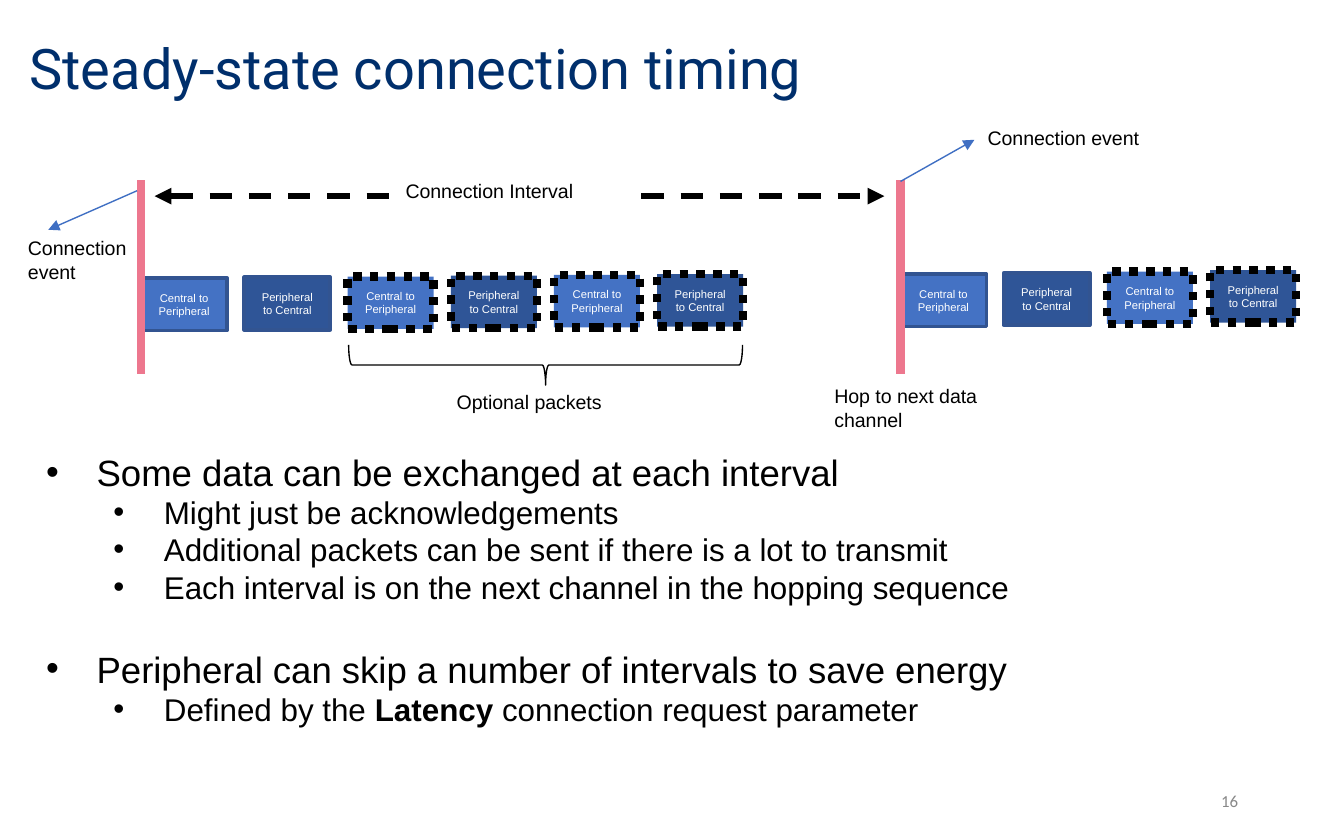
"""Build the steady-state connection timing slide."""
from lxml.etree import SubElement
from pptx import Presentation
from pptx.dml.color import RGBColor
from pptx.enum.dml import MSO_LINE
from pptx.enum.shapes import MSO_CONNECTOR, MSO_SHAPE
from pptx.enum.text import MSO_ANCHOR, MSO_AUTO_SIZE, PP_ALIGN
from pptx.oxml.ns import qn
from pptx.util import Pt

COLORS = {
    "title": "002F6C", "text": "000000", "white": "FFFFFF", "number": "888888",
    "central": "4472C4", "peripheral": "2F5597", "edge": "325491",
    "event": "ED778E", "pointer": "3F6FC3",
}
TITLE = "Steady-state connection timing"
BULLETS = [
    (0, ["Some data can be exchanged at each interval"]),
    (1, ["Might just be acknowledgements"]),
    (1, ["Additional packets can be sent if there is a lot to transmit"]),
    (1, ["Each interval is on the next channel in the hopping sequence"]),
    (0, ["Peripheral can skip a number of intervals to save energy"]),
    (1, ["Defined by the ", "Latency", " connection request parameter"]),
]
LEVELS = [
    {"size": 19.6, "left": 36, "before": 26.7},
    {"size": 16.8, "left": 72, "before": 3.8},
]
PACKETS = [("Central to Peripheral", "central"), ("Peripheral to Central", "peripheral")]
EVENTS = [
    {"x": 75.6, "y": 149, "count": 6, "rise": 0.43},
    {"x": 482.4, "y": 146.9, "count": 4, "rise": 0.72},
]
PITCH, PACKET_W, PACKET_H, REQUIRED = 55.3, 46.1, 28.1, 2
EVENT_TOP, EVENT_BOTTOM = 96.5, 200.2
INTERVAL = (82.8, 105.1, 473.8, 105.1)
POINTERS = [(482.4, 97.2, 522, 74.9), (73.4, 102.2, 25.9, 123.1)]
LABELS = [
    ("Connection Interval", (210.2, 92.2, 132.5, 20.2), True, "white"),
    ("Hop to next data channel", (439.9, 202.3, 92.2, 32.4), True, None),
    ("Optional packets", (237.6, 205.2, 119.5, 20.2), True, None),
    ("Connection event", (522, 64.1, 97.2, 20.2), False, None),
    ("Connection event", (7.9, 123.1, 70.6, 32.4), True, None),
]


def rgb(name):
    return RGBColor.from_string(COLORS[name])


def pts(values):
    return [Pt(v) for v in values]


def style(font, size, color, name="Arial"):
    font.size, font.name = Pt(size), name
    font.color.rgb = rgb(color)


def place(sp, box):
    sp.left, sp.top, sp.width, sp.height = pts(box)


def add_line(s, ends, color, width, arrows=(), dash=None):
    ln = s.shapes.add_connector(MSO_CONNECTOR.STRAIGHT, *pts(ends))
    ln.line.color.rgb, ln.line.width = rgb(color), Pt(width)
    if dash:
        ln.line.dash_style = dash
    for end in arrows:
        SubElement(ln.line._get_or_add_ln(), qn(f"a:{end}"), type="triangle")
    SubElement(ln._element.spPr, qn("a:effectLst"))


def add_packet(s, box, text, color, optional):
    sp = s.shapes.add_shape(MSO_SHAPE.RECTANGLE, *pts(box))
    sp.shadow.inherit = False
    sp.fill.solid()
    sp.fill.fore_color.rgb = rgb(color)
    sp.line.color.rgb = rgb("text" if optional else "edge")
    sp.line.width = Pt(4.5 if optional else 2)
    if optional:
        sp.line.dash_style = MSO_LINE.ROUND_DOT
    tf = sp.text_frame
    tf.text, tf.vertical_anchor = text, MSO_ANCHOR.MIDDLE
    p = tf.paragraphs[0]
    p.alignment = PP_ALIGN.CENTER
    style(p.runs[0].font, 6, "white")


def add_label(s, text, box, wrap, fill):
    sp = s.shapes.add_textbox(*pts(box))
    if fill:
        sp.fill.solid()
        sp.fill.fore_color.rgb = rgb(fill)
    tf = sp.text_frame
    tf.text, tf.word_wrap = text, wrap
    tf.auto_size = MSO_AUTO_SIZE.SHAPE_TO_FIT_TEXT
    style(tf.paragraphs[0].runs[0].font, 10.5, "text")


def add_title(s):
    sp = s.shapes.title
    place(sp, (8.6, 7.2, 613.4, 61.9))
    tf = sp.text_frame
    tf.text, tf.vertical_anchor = TITLE, MSO_ANCHOR.MIDDLE
    tf.auto_size = MSO_AUTO_SIZE.NONE
    p = tf.paragraphs[0]
    p.alignment, p.line_spacing = PP_ALIGN.LEFT, 0.9
    style(p.runs[0].font, 30, "title", "Roboto")


def add_bullets(s):
    sp = s.placeholders[1]
    place(sp, (8.6, 241.9, 703.4, 163.4))
    tf = sp.text_frame
    tf.auto_size = MSO_AUTO_SIZE.NONE
    for i, (level, parts) in enumerate(BULLETS):
        p = tf.add_paragraph() if i else tf.paragraphs[0]
        look = LEVELS[level]
        p.level, p.line_spacing = level, 0.8
        p.space_before = Pt(look["before"] if i else 0)
        pPr = p._p.get_or_add_pPr()
        pPr.set("marL", str(Pt(look["left"])))
        pPr.set("indent", str(Pt(-27)))
        clr = SubElement(pPr, qn("a:buClr"))
        SubElement(clr, qn("a:srgbClr"), val=COLORS["text"])
        SubElement(pPr, qn("a:buFont"), typeface="Arial")
        SubElement(pPr, qn("a:buChar"), char="•")
        for j, part in enumerate(parts):
            r = p.add_run()
            r.text = part
            r.font.bold = j % 2 == 1
            style(r.font, look["size"], "text")


def add_number(s):
    sp = s.shapes.add_textbox(*pts((508.3, 416.9, 162, 23.8)))
    tf = sp.text_frame
    tf.text, tf.word_wrap, tf.vertical_anchor = "16", True, MSO_ANCHOR.MIDDLE
    p = tf.paragraphs[0]
    p.alignment = PP_ALIGN.RIGHT
    style(p.runs[0].font, 9, "number", "Calibri")


def add_timeline(s):
    for event in EVENTS:
        for i in range(event["count"]):
            text, color = PACKETS[i % 2]
            box = (event["x"] + i * PITCH, event["y"] - i * event["rise"], PACKET_W, PACKET_H)
            add_packet(s, box, text, color, i >= REQUIRED)
    for event in EVENTS:
        add_line(s, (event["x"], EVENT_TOP, event["x"], EVENT_BOTTOM), "event", 4.5)
    add_line(s, INTERVAL, "text", 3, ("headEnd", "tailEnd"), MSO_LINE.DASH)
    brace = s.shapes.add_shape(MSO_SHAPE.LEFT_BRACE, *pts((281.5, 90, 21.6, 211)))
    brace.rotation = 270
    brace.shadow.inherit = False
    brace.fill.background()
    brace.line.color.rgb, brace.line.width = rgb("text"), Pt(0.75)
    for ends in POINTERS:
        add_line(s, ends, "pointer", 0.75, ("tailEnd",))
    for label in LABELS:
        add_label(s, *label)


def main():
    prs = Presentation()
    prs.slide_width, prs.slide_height = Pt(720), Pt(450)
    s = prs.slides.add_slide(prs.slide_layouts[1])
    add_title(s)
    add_bullets(s)
    add_number(s)
    add_timeline(s)
    prs.save("out.pptx")


if __name__ == "__main__":
    main()
